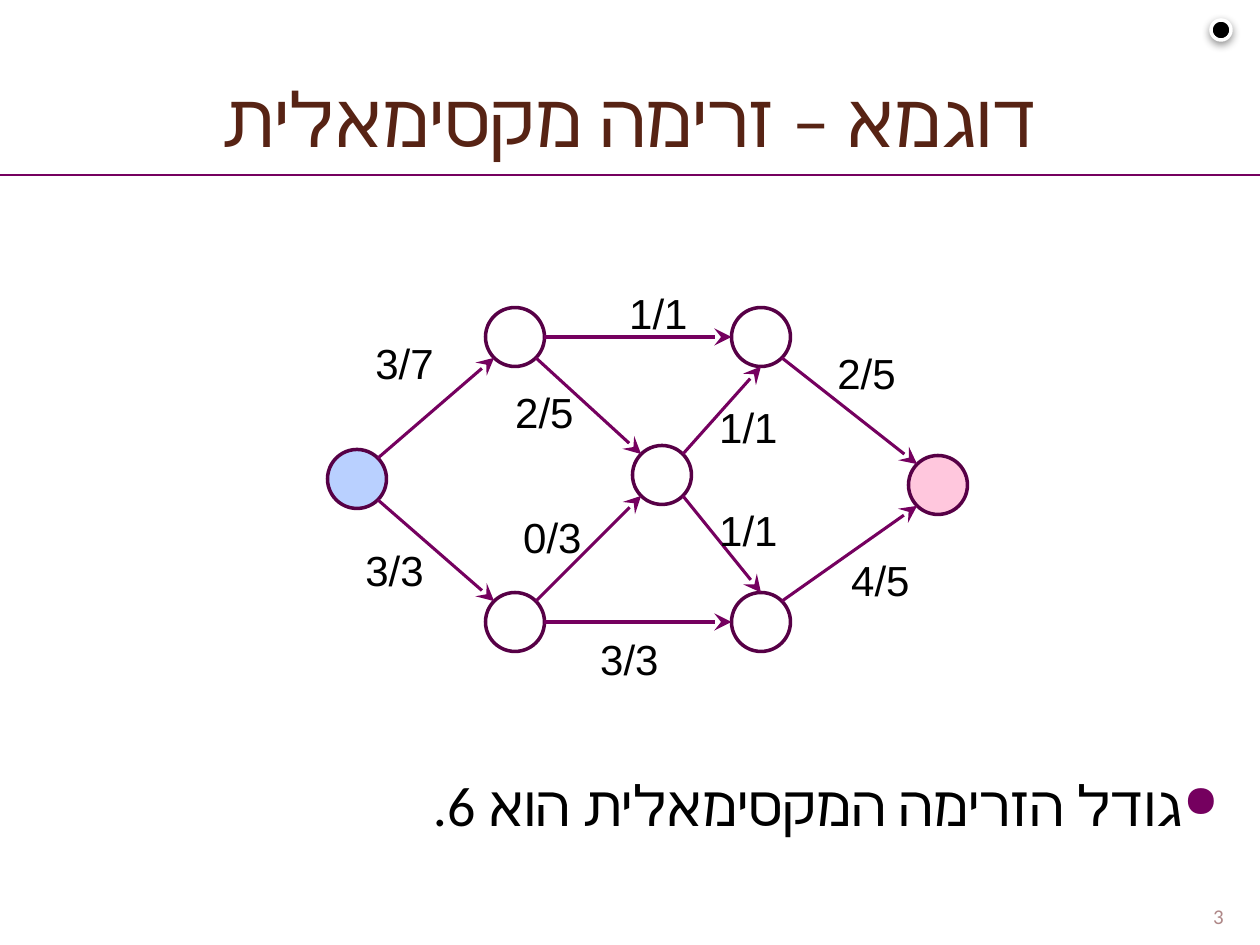
import dataclasses

import lxml.etree
import pptx
import pptx.dml.color
import pptx.enum.shapes
import pptx.enum.text
import pptx.oxml.ns
import pptx.util

PX_PER_INCH = 126
NODE_SIZE = 59
RIGHT = pptx.enum.text.PP_ALIGN.RIGHT
CENTER = pptx.enum.text.PP_ALIGN.CENTER


@dataclasses.dataclass(frozen=True)
class Theme:
    heading: str = "572314"
    ink: str = "000000"
    paper: str = "FFFFFF"
    edge: str = "75005F"
    outline: str = "570046"
    source: str = "B9D0FF"
    sink: str = "FFC7DD"
    page: str = "AF8888"
    text_face: str = "Calibri"
    label_face: str = "Arial"
    title_size: int = 43
    body_size: int = 32
    label_size: int = 24
    page_size: int = 12


THEME = Theme()

NODES = {
    "source": (357, 479, THEME.source),
    "upper left": (515, 337, None),
    "lower left": (515, 622, None),
    "middle": (662, 475, None),
    "upper right": (761, 337, None),
    "lower right": (761, 622, None),
    "sink": (938, 485, THEME.sink),
}

EDGES = [
    ("source", (1, -1), "upper left", (-1, 1)),
    ("source", (1, 1), "lower left", (-1, -1)),
    ("upper left", (1, 0), "upper right", (-1, 0)),
    ("lower left", (1, 0), "lower right", (-1, 0)),
    ("upper left", (1, 1), "middle", (-1, -1)),
    ("lower left", (1, -1), "middle", (-1, 1)),
    ("middle", (1, -1), "upper right", (0, 1)),
    ("middle", (1, 1), "lower right", (0, -1)),
    ("upper right", (1, 1), "sink", (-1, -1)),
    ("lower right", (1, -1), "sink", (-1, 1)),
]

FLOWS = [
    ("3/7", 338, 331, 108),
    ("3/3", 328, 538, 108),
    ("1/1", 612, 281, 88),
    ("2/5", 488, 380, 98),
    ("0/3", 496, 505, 98),
    ("1/1", 702, 395, 88),
    ("1/1", 702, 498, 88),
    ("3/3", 563, 627, 108),
    ("2/5", 800, 341, 108),
    ("4/5", 814, 548, 108),
]


def px(length):
    return pptx.util.Emu(round(length * 914400 / PX_PER_INCH))


def rgb(value):
    return pptx.dml.color.RGBColor.from_string(value)


def add_xml(parent, tag, **attributes):
    return lxml.etree.SubElement(parent, pptx.oxml.ns.qn(tag), attributes)


def add_bullet(paragraph, color):
    properties = paragraph._p.get_or_add_pPr()
    properties.set("marR", str(px(50)))
    properties.set("marL", "0")
    properties.set("indent", str(px(-39)))
    add_xml(add_xml(properties, "a:buClr"), "a:srgbClr", val=color)
    add_xml(properties, "a:buSzPct", val="80000")
    add_xml(properties, "a:buChar", char="●")


def write_rtl(shape, text, face, size, color, align, bullet=None):
    frame = shape.text_frame
    frame.word_wrap = True
    paragraph = frame.paragraphs[0]
    paragraph.text = text
    paragraph.alignment = align
    properties = paragraph._p.get_or_add_pPr()
    properties.set("rtl", "1")
    if bullet:
        add_bullet(paragraph, bullet)
    font = paragraph.font
    font.name = face
    font.size = pptx.util.Pt(size)
    font.color.rgb = rgb(color)
    add_xml(properties.find(pptx.oxml.ns.qn("a:defRPr")), "a:cs", typeface=face)
    return frame


def add_title(slide, text):
    title = slide.shapes.title
    title.left, title.top, title.width, title.height = map(px, (0, 38, 1260, 158))
    frame = write_rtl(title, text, THEME.text_face, THEME.title_size, THEME.heading, CENTER)
    frame.vertical_anchor = pptx.enum.text.MSO_ANCHOR.MIDDLE


def add_text(slide, box, text, face, size, color, align, bullet=None):
    textbox = slide.shapes.add_textbox(*map(px, box))
    return write_rtl(textbox, text, face, size, color, align, bullet)


def add_circle(slide, x, y, size, fill, outline):
    circle = slide.shapes.add_shape(
        pptx.enum.shapes.MSO_SHAPE.OVAL,
        px(x - size / 2), px(y - size / 2), px(size), px(size))
    circle.shadow.inherit = False
    if fill:
        circle.fill.solid()
        circle.fill.fore_color.rgb = rgb(fill)
    else:
        circle.fill.background()
    circle.line.color.rgb = rgb(outline)
    circle.line.width = pptx.util.Pt(2)
    return circle


def add_line(slide, start, end, width, arrow=False):
    line = slide.shapes.add_connector(
        pptx.enum.shapes.MSO_CONNECTOR.STRAIGHT, *map(px, (*start, *end)))
    line.line.color.rgb = rgb(THEME.edge)
    line.line.width = pptx.util.Pt(width)
    if arrow:
        add_xml(line.line._get_or_add_ln(), "a:tailEnd", type="stealth", w="lg", len="lg")
    add_xml(line._element.spPr, "a:effectLst")


def rim_point(node, direction):
    x, y, _ = NODES[node]
    dx, dy = direction
    reach = NODE_SIZE / 2 / (dx * dx + dy * dy) ** 0.5
    return x + dx * reach, y + dy * reach


def add_corner_dot(slide):
    dot = add_circle(slide, 1221, 30, 20, THEME.ink, THEME.paper)
    effects = dot._element.spPr.find(pptx.oxml.ns.qn("a:effectLst"))
    shadow = add_xml(effects, "a:outerShdw", blurRad=str(pptx.util.Pt(5)),
                     dist=str(pptx.util.Pt(2)), dir="5400000")
    add_xml(add_xml(shadow, "a:srgbClr", val=THEME.ink), "a:alpha", val="43000")


def add_flow_network(slide):
    for x, y, fill in NODES.values():
        add_circle(slide, x, y, NODE_SIZE, fill, THEME.outline)
    for tail, leaving, head, entering in EDGES:
        add_line(slide, rim_point(tail, leaving), rim_point(head, entering), 1.75, arrow=True)
    for flow, left, top, width in FLOWS:
        frame = add_text(slide, (left, top, width, 64), flow, THEME.label_face,
                         THEME.label_size, THEME.ink, RIGHT)
        frame.auto_size = pptx.enum.text.MSO_AUTO_SIZE.SHAPE_TO_FIT_TEXT


def main():
    deck = pptx.Presentation()
    deck.slide_width, deck.slide_height = px(1260), px(945)
    slide = deck.slides.add_slide(deck.slide_layouts[5])
    add_title(slide, "דוגמא – זרימה מקסימאלית")
    add_flow_network(slide)
    add_text(slide, (198, 764, 1033, 171), "גודל הזרימה המקסימאלית הוא 6.",
             THEME.text_face, THEME.body_size, THEME.ink, RIGHT, bullet=THEME.edge)
    add_line(slide, (0, 175), (1260, 175), 0.75)
    page = add_text(slide, (1187, 869, 63, 66), "3",
                    THEME.text_face, THEME.page_size, THEME.page, CENTER)
    page.vertical_anchor = pptx.enum.text.MSO_ANCHOR.BOTTOM
    add_corner_dot(slide)
    deck.save("out.pptx")


if __name__ == "__main__":
    main()
